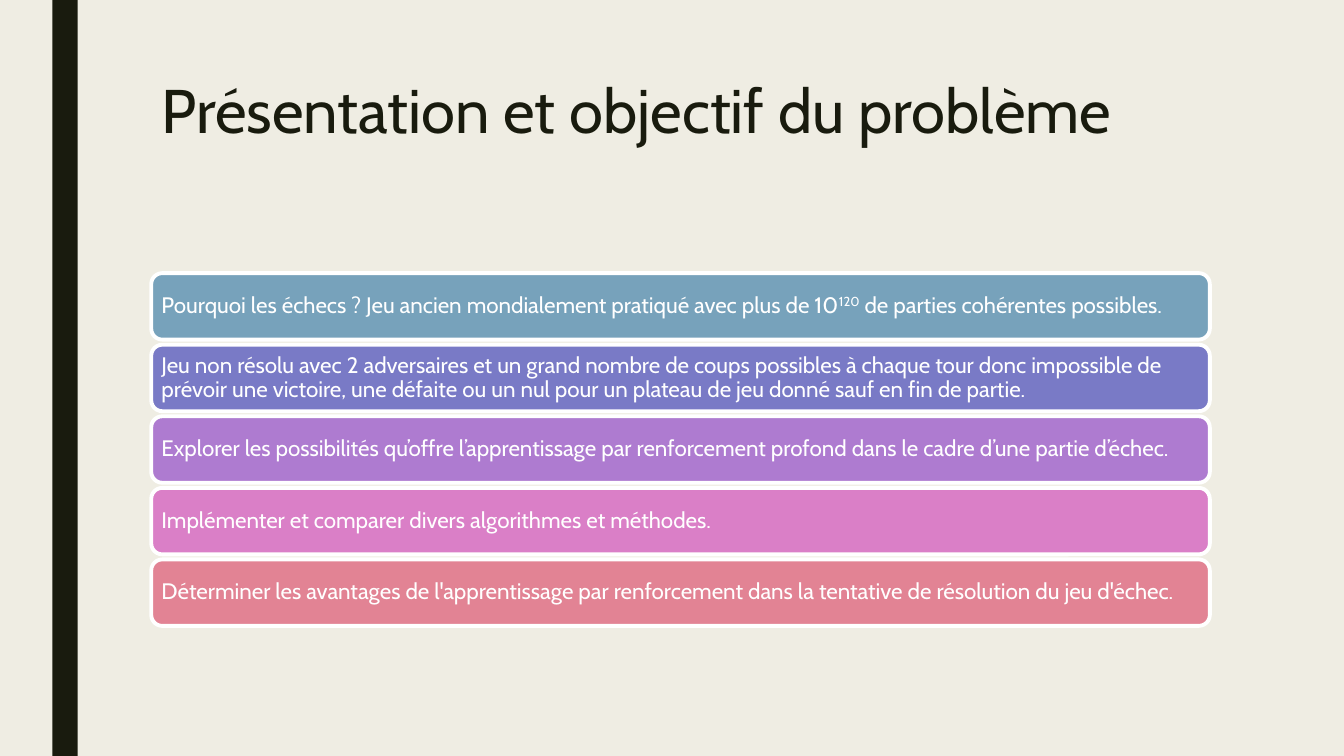
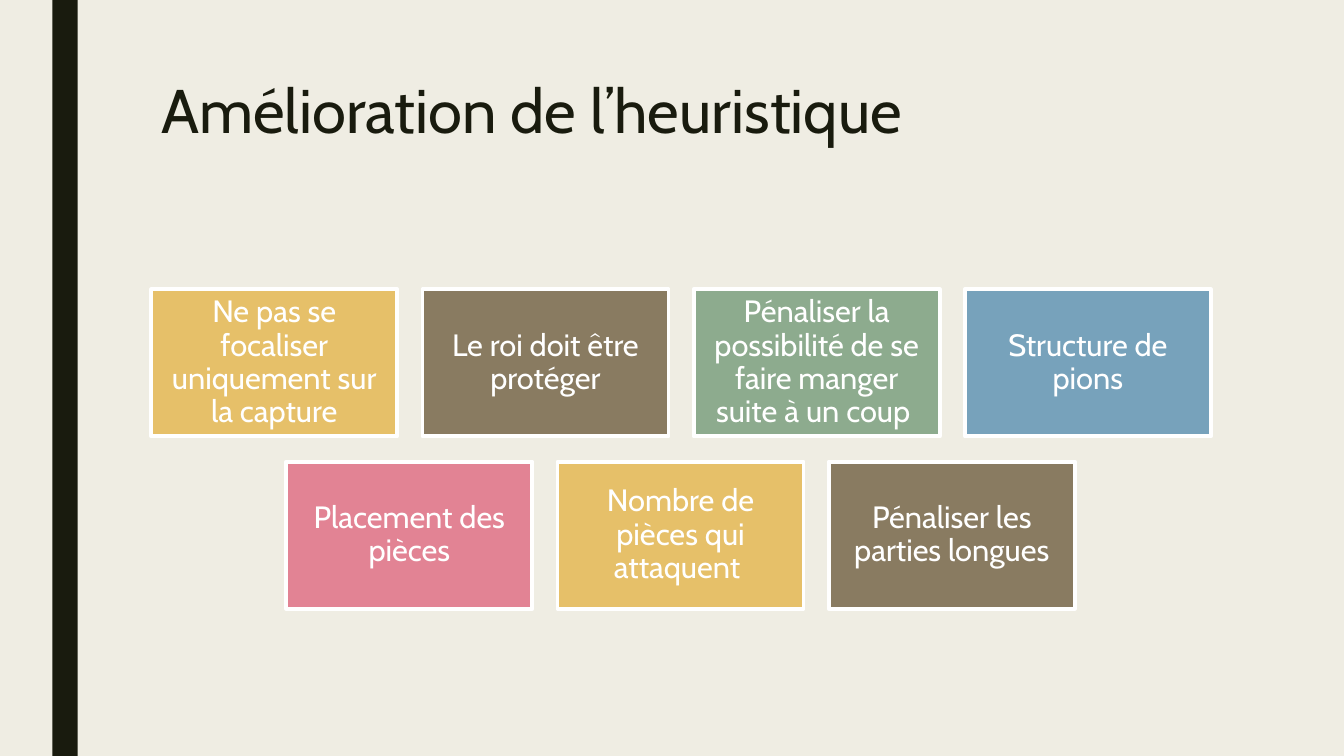
"""Build two slides on chess and reinforcement learning."""
import pptx
import pptx.dml.color
import pptx.enum.shapes
import pptx.enum.text
import pptx.util

RGBColor = pptx.dml.color.RGBColor
PRESET = pptx.enum.shapes.MSO_SHAPE
ALIGN = pptx.enum.text.PP_ALIGN
ANCHOR = pptx.enum.text.MSO_ANCHOR

CREAM = RGBColor(0xEF, 0xED, 0xE3)
INK = RGBColor(0x19, 0x1B, 0x0E)
WHITE = RGBColor(0xFF, 0xFF, 0xFF)
BLUE = RGBColor(0x77, 0xA2, 0xBB)
INDIGO = RGBColor(0x79, 0x7A, 0xC6)
VIOLET = RGBColor(0xAE, 0x7B, 0xD0)
PINK = RGBColor(0xDA, 0x7F, 0xC7)
ROSE = RGBColor(0xE2, 0x83, 0x94)
GOLD = RGBColor(0xE6, 0xC0, 0x69)
BROWN = RGBColor(0x89, 0x7B, 0x61)
GREEN = RGBColor(0x8D, 0xAB, 0x8E)

FONT = "Cabin"
PX_PER_INCH = 100
SLIDE_WIDTH, SLIDE_HEIGHT = 1333, 750
CONTENT_LEFT, CONTENT_WIDTH = 150, 1051
TITLE_ONLY = 5

OBJECTIVES = [
    ("Pourquoi les échecs ? Jeu ancien mondialement pratiqué avec plus de "
     "10^120^ de parties cohérentes possibles.", BLUE),
    ("Jeu non résolu avec 2 adversaires et un grand nombre de coups possibles "
     "à chaque tour donc impossible de prévoir une victoire, une défaite ou "
     "un nul pour un plateau de jeu donné sauf en fin de partie.", INDIGO),
    ("Explorer les possibilités qu’offre l’apprentissage par renforcement "
     "profond dans le cadre d’une partie d’échec.", VIOLET),
    ("Implémenter et comparer divers algorithmes et méthodes.", PINK),
    ("Déterminer les avantages de l'apprentissage par renforcement dans la "
     "tentative de résolution du jeu d'échec.", ROSE),
]

HEURISTIC_ROWS = [
    [("Ne pas se focaliser uniquement sur la capture", GOLD),
     ("Le roi doit être protéger", BROWN),
     ("Pénaliser la possibilité de se faire manger suite à un coup ", GREEN),
     ("Structure de pions", BLUE)],
    [("Placement des pièces", ROSE),
     ("Nombre de pièces qui attaquent ", GOLD),
     ("Pénaliser les parties longues", BROWN)],
]


def px(length):
    """Turn pixels into EMU."""
    return pptx.util.Inches(length / PX_PER_INCH)


def style_runs(paragraph, size, color):
    """Give every run of a paragraph the deck font."""
    for run in paragraph.runs:
        run.font.name = FONT
        run.font.size = pptx.util.Pt(size)
        run.font.color.rgb = color


def add_box(slide, preset, left, top, width, height, fill):
    """Add a flat filled shape without an outline."""
    box = slide.shapes.add_shape(preset, px(left), px(top), px(width), px(height))
    box.shadow.inherit = False
    box.fill.solid()
    box.fill.fore_color.rgb = fill
    box.line.fill.background()
    return box


def add_card(slide, preset, bounds, fill, text, size, margin, align):
    """Add a white-edged card; text between carets is superscript."""
    card = add_box(slide, preset, *bounds, fill)
    card.line.color.rgb = WHITE
    card.line.width = pptx.util.Pt(2.75)
    frame = card.text_frame
    frame.word_wrap = True
    frame.vertical_anchor = ANCHOR.MIDDLE
    frame.margin_left = frame.margin_right = px(margin)
    frame.margin_top = frame.margin_bottom = px(margin)
    paragraph = frame.paragraphs[0]
    paragraph.alignment = align
    paragraph.line_spacing = 0.9
    for index, part in enumerate(text.split("^")):
        run = paragraph.add_run()
        run.text = part
        if index % 2:
            run.font._element.set("baseline", "30000")
    style_runs(paragraph, size, WHITE)


def add_titled_slide(deck, text):
    """Add a title-only slide and format its title."""
    slide = deck.slides.add_slide(deck.slide_layouts[TITLE_ONLY])
    title = slide.shapes.title
    title.left, title.top = px(CONTENT_LEFT), px(75)
    title.width, title.height = px(1050), px(162)
    frame = title.text_frame
    frame.text = text
    frame.word_wrap = True
    frame.auto_size = pptx.enum.text.MSO_AUTO_SIZE.NONE
    frame.vertical_anchor = ANCHOR.TOP
    paragraph = frame.paragraphs[0]
    paragraph.alignment = ALIGN.LEFT
    paragraph.line_spacing = 0.89
    style_runs(paragraph, 44, INK)
    return slide


def move_band_to_layout(slide):
    """Draw the side band once, on the layout behind the slides."""
    band = add_box(slide, PRESET.RECTANGLE, 52, 0, 25, SLIDE_HEIGHT, INK)
    band.element.nvSpPr.cNvPr.set("id", "20")
    slide.slide_layout.shapes.element.append(band.element)


def add_objectives(slide):
    """Stack the objectives as full-width bars."""
    for index, (text, fill) in enumerate(OBJECTIVES):
        bounds = (CONTENT_LEFT, 271 + index * 71, 1050, 66)
        add_card(slide, PRESET.ROUNDED_RECTANGLE, bounds, fill, text, 16, 7, ALIGN.LEFT)


def add_heuristics(slide):
    """Lay out the heuristics in centred rows of tiles."""
    width, height, gap = 244, 146, 25
    for row, tiles in enumerate(HEURISTIC_ROWS):
        row_width = len(tiles) * (width + gap) - gap
        row_left = CONTENT_LEFT + (CONTENT_WIDTH - row_width) // 2
        top = 287 + row * (height + gap)
        for column, (text, fill) in enumerate(tiles):
            bounds = (row_left + column * (width + gap), top, width, height)
            add_card(slide, PRESET.RECTANGLE, bounds, fill, text, 22, 9, ALIGN.CENTER)


def main():
    """Build and save the deck."""
    deck = pptx.Presentation()
    deck.slide_width, deck.slide_height = px(SLIDE_WIDTH), px(SLIDE_HEIGHT)
    backdrop = deck.slide_master.background.fill
    backdrop.solid()
    backdrop.fore_color.rgb = CREAM

    problem = add_titled_slide(deck, "Présentation et objectif du problème")
    move_band_to_layout(problem)
    add_objectives(problem)
    add_heuristics(add_titled_slide(deck, "Amélioration de l’heuristique"))
    deck.save("out.pptx")


if __name__ == "__main__":
    main()
